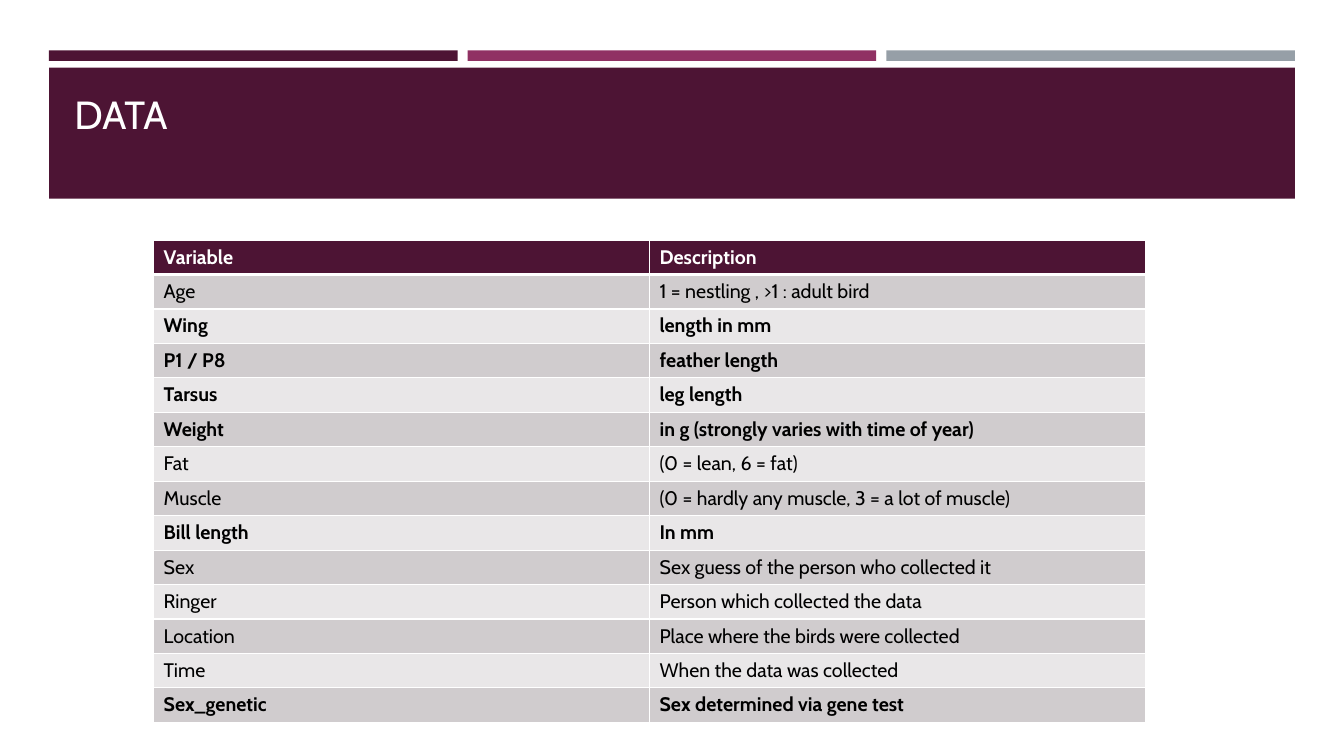
from dataclasses import dataclass

from lxml.etree import SubElement
from pptx import Presentation
from pptx.dml.color import RGBColor
from pptx.enum.shapes import MSO_SHAPE
from pptx.enum.text import MSO_ANCHOR, PP_ALIGN
from pptx.oxml.ns import qn
from pptx.util import Pt


@dataclass(frozen=True)
class Theme:
    font: str = "Cabin"
    plum: str = "4D1434"
    magenta: str = "903163"
    grey: str = "969FA7"
    white: str = "FFFFFF"
    black: str = "000000"
    dark_row: str = "D0CCCE"
    light_row: str = "E9E7E8"
    title_size: int = 28
    table_size: int = 14


@dataclass(frozen=True)
class Box:
    left: float
    top: float
    width: float
    height: float


THEME = Theme()

VARIABLES = [
    ("Age", "1 = nestling , >1 : adult bird", False),
    ("Wing", "length in mm", True),
    ("P1 / P8", "feather length", True),
    ("Tarsus", "leg length", True),
    ("Weight", "in g (strongly varies with time of year)", True),
    ("Fat", "(0 = lean, 6 = fat)", False),
    ("Muscle", "(0 = hardly any muscle, 3 = a lot of muscle)", False),
    ("Bill length", "In mm", True),
    ("Sex", "Sex guess of the person who collected it", False),
    ("Ringer", "Person which collected the data", False),
    ("Location", "Place where the birds were collected", False),
    ("Time", "When the data was collected", False),
    ("Sex_genetic", "Sex determined via gene test", True),
]


def style_font(font, size, color, bold=False):
    font.name = THEME.font
    font.size = Pt(size)
    font.bold = bold
    font.color.rgb = RGBColor.from_string(color)


def add_bar(slide, box, color):
    bar = slide.shapes.add_shape(
        MSO_SHAPE.RECTANGLE, Pt(box.left), Pt(box.top), Pt(box.width), Pt(box.height)
    )
    bar.shadow.inherit = False
    bar.fill.solid()
    bar.fill.fore_color.rgb = RGBColor.from_string(color)
    bar.line.fill.background()


def add_strips(slide, box, gap=7.2):
    colors = (THEME.plum, THEME.magenta, THEME.grey)
    width = (box.width - gap * (len(colors) - 1)) / len(colors)
    for index, color in enumerate(colors):
        left = box.left + index * (width + gap)
        add_bar(slide, Box(left, box.top, width, box.height), color)


def add_banner(slide, box, text):
    add_bar(slide, box, THEME.plum)
    title = slide.shapes.title
    title.left, title.top = Pt(box.left + 11), Pt(box.top + 7)
    title.width, title.height = Pt(box.width - 22), Pt(box.height - 14)
    title.element.getparent().append(title.element)
    frame = title.text_frame
    frame.text = text
    frame.vertical_anchor = MSO_ANCHOR.TOP
    frame.margin_top = Pt(9)
    paragraph = frame.paragraphs[0]
    paragraph.alignment = PP_ALIGN.LEFT
    style_font(paragraph.font, THEME.title_size, THEME.white)


def set_borders(cell, top, bottom):
    properties = cell._tc.get_or_add_tcPr()
    for side, width in (("L", 1), ("R", 1), ("T", top), ("B", bottom)):
        line = SubElement(properties, qn(f"a:ln{side}"), w=str(Pt(width)))
        fill = SubElement(line, qn("a:solidFill"))
        SubElement(fill, qn("a:srgbClr"), val=THEME.white)


def fill_cell(cell, text, row, bold):
    header = row == 0
    set_borders(cell, top=3 if row == 1 else 1, bottom=3 if header else 1)
    band = THEME.dark_row if row % 2 else THEME.light_row
    cell.fill.solid()
    cell.fill.fore_color.rgb = RGBColor.from_string(THEME.plum if header else band)
    cell.text = text
    color = THEME.white if header else THEME.black
    style_font(cell.text_frame.paragraphs[0].font, THEME.table_size, color, bold)


def add_variable_table(slide, box):
    rows = [("Variable", "Description", True)] + VARIABLES
    table = slide.shapes.add_table(
        len(rows), 2, Pt(box.left), Pt(box.top), Pt(box.width), Pt(box.height)
    ).table
    for row, (variable, description, bold) in enumerate(rows):
        table.rows[row].height = Pt(box.height / len(rows))
        for column, text in enumerate((variable, description)):
            fill_cell(table.cell(row, column), text, row, bold)


def add_data_slide(presentation):
    slide = presentation.slides.add_slide(presentation.slide_layouts[5])
    add_strips(slide, Box(35, 36, 890, 7.5))
    add_banner(slide, Box(35, 48.3, 890, 93.7), "DATA")
    add_variable_table(slide, Box(109.7, 171.5, 708.5, 344.8))


def main():
    presentation = Presentation()
    presentation.slide_width, presentation.slide_height = Pt(960), Pt(540)
    add_data_slide(presentation)
    presentation.save("out.pptx")


if __name__ == "__main__":
    main()
